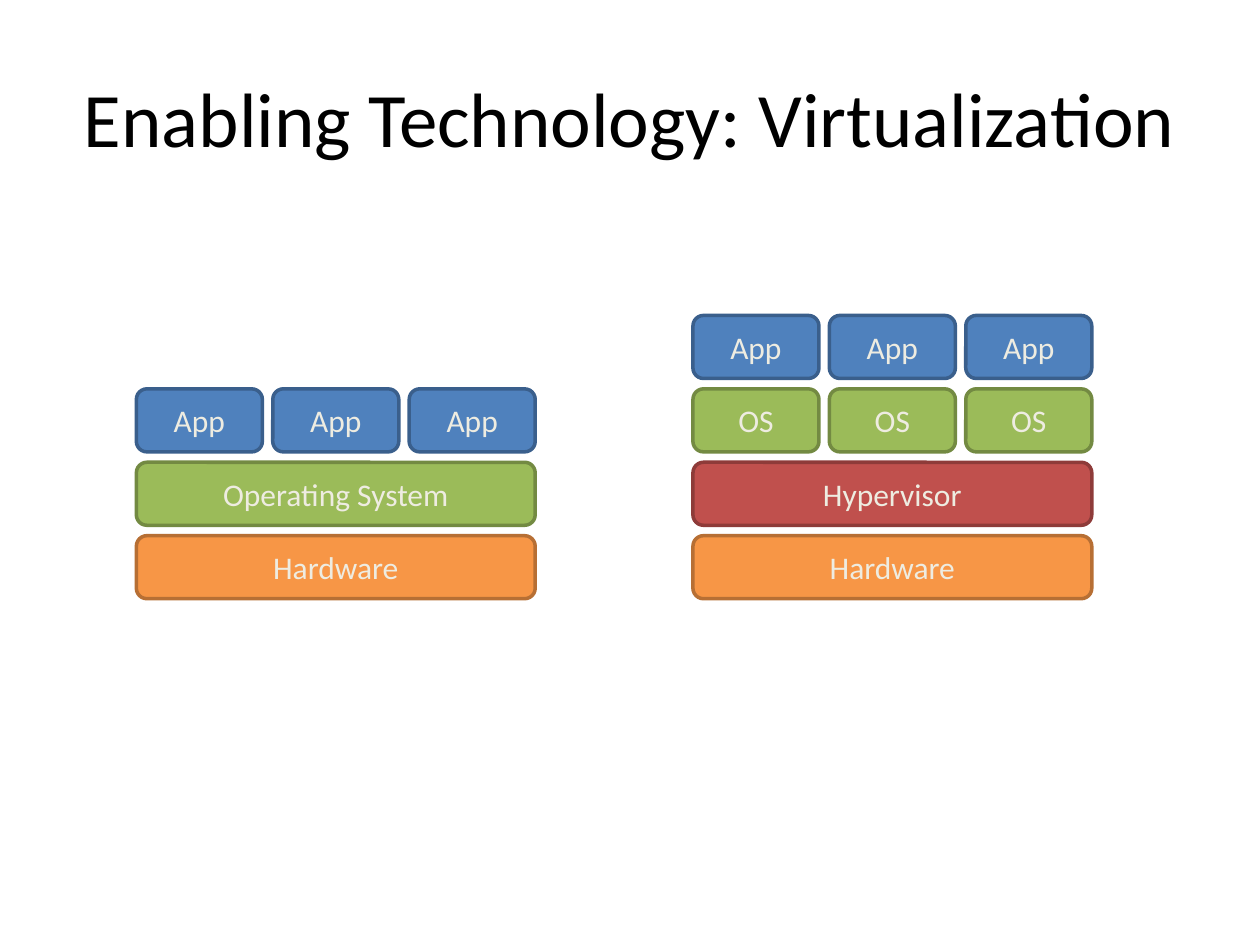
from dataclasses import dataclass

from pptx import Presentation
from pptx.dml.color import RGBColor as Rgb
from pptx.enum.shapes import MSO_SHAPE as Preset
from pptx.enum.text import MSO_ANCHOR as Anchor, PP_ALIGN as Align
from pptx.util import Cm, Pt


@dataclass(frozen=True)
class Theme:
    font: str = "Calibri"
    title_size: int = 44
    label_size: int = 18
    border_width: int = 2
    title_color: str = "000000"
    label_color: str = "EEECE1"
    # (fill, border) of each kind of layer
    app: tuple = ("4F81BD", "3A5F8C")
    system: tuple = ("9BBB59", "738A42")
    hypervisor: tuple = ("C0504D", "8E3B39")
    hardware: tuple = ("F79646", "B76F34")


THEME = Theme()

# Grid of the stacks, in centimetres
COLUMNS = 3
BLOCK_WIDTH, BLOCK_HEIGHT, GAP = 2.54, 1.27, 0.21
STACK_WIDTH = COLUMNS * BLOCK_WIDTH + (COLUMNS - 1) * GAP
BASE_TOP = 10.8

# Layers from the bottom up: label, colours, number of blocks
HARDWARE = ("Hardware", THEME.hardware, 1)
APPS = ("App", THEME.app, COLUMNS)
NATIVE_STACK = [HARDWARE, ("Operating System", THEME.system, 1), APPS]
VIRTUAL_STACK = [HARDWARE, ("Hypervisor", THEME.hypervisor, 1),
                 ("OS", THEME.system, COLUMNS), APPS]


def write(frame, text, size, color):
    frame.text = text
    frame.word_wrap = True
    frame.vertical_anchor = Anchor.MIDDLE
    line = frame.paragraphs[0]
    line.alignment = Align.CENTER
    font = line.runs[0].font
    font.name, font.size = THEME.font, Pt(size)
    font.color.rgb = Rgb.from_string(color)


def add_title(slide, text):
    title = slide.shapes.title
    title.left, title.top = Cm(1.27), Cm(0.76)
    title.width, title.height = Cm(22.86), Cm(3.18)
    write(title.text_frame, text, THEME.title_size, THEME.title_color)


def add_block(stack, label, colors, left, top, width):
    block = stack.shapes.add_shape(Preset.ROUNDED_RECTANGLE, Cm(left), Cm(top),
                                   Cm(width), Cm(BLOCK_HEIGHT))
    fill, border = colors
    block.shadow.inherit = False
    block.fill.solid()
    block.fill.fore_color.rgb = Rgb.from_string(fill)
    block.line.color.rgb = Rgb.from_string(border)
    block.line.width = Pt(THEME.border_width)
    write(block.text_frame, label, THEME.label_size, THEME.label_color)


def add_stack(slide, layers, left):
    stack = slide.shapes.add_group_shape()
    for level, (label, colors, count) in enumerate(layers):
        top = BASE_TOP - level * (BLOCK_HEIGHT + GAP)
        width = (STACK_WIDTH - (count - 1) * GAP) / count
        for column in range(count):
            add_block(stack, label, colors, left + column * (width + GAP), top, width)


def main():
    deck = Presentation()
    deck.slide_width, deck.slide_height = Cm(25.4), Cm(19.05)
    title_only = deck.slide_layouts[5]
    slide = deck.slides.add_slide(title_only)

    add_title(slide, "Enabling Technology: Virtualization")
    # Applications on one system, then on virtual machines
    add_stack(slide, NATIVE_STACK, left=2.75)
    add_stack(slide, VIRTUAL_STACK, left=13.97)

    deck.save("out.pptx")


if __name__ == "__main__":
    main()
